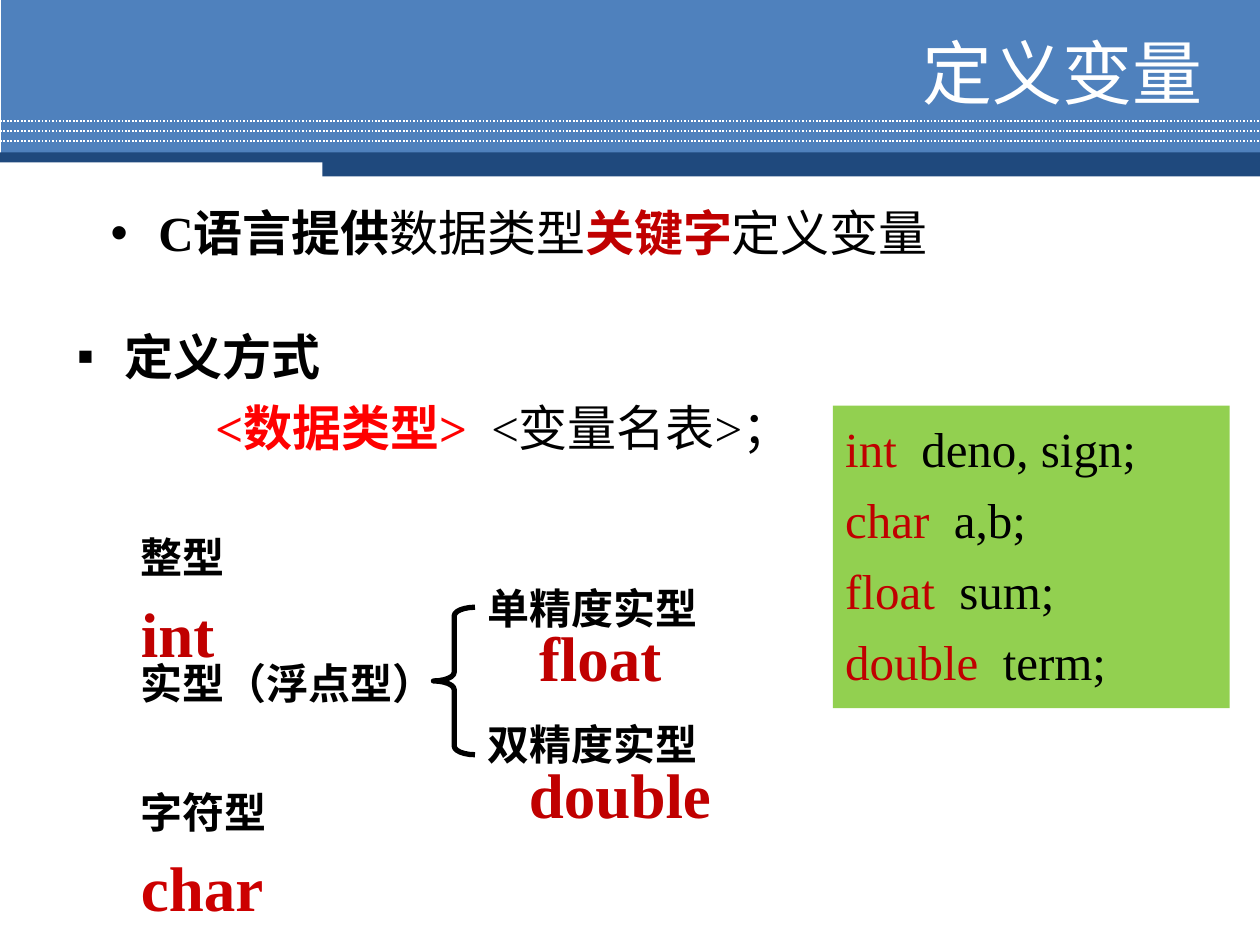
from lxml import etree
from pptx import Presentation
from pptx.dml.color import RGBColor
from pptx.enum.dml import MSO_LINE
from pptx.enum.shapes import MSO_CONNECTOR, MSO_SHAPE
from pptx.enum.text import MSO_ANCHOR, MSO_AUTO_SIZE, PP_ALIGN
from pptx.oxml.ns import qn
from pptx.util import Inches, Pt

RECT, BRACE = MSO_SHAPE.RECTANGLE, MSO_SHAPE.LEFT_BRACE
STRAIGHT, DOTTED = MSO_CONNECTOR.STRAIGHT, MSO_LINE.ROUND_DOT
TOP, MIDDLE, BOTTOM = MSO_ANCHOR.TOP, MSO_ANCHOR.MIDDLE, MSO_ANCHOR.BOTTOM
LEFT, RIGHT = PP_ALIGN.LEFT, PP_ALIGN.RIGHT
NO_FIT = MSO_AUTO_SIZE.NONE

W, H = 10, 7.5
SERIF, SANS, CJK = "Times New Roman", "Arial", "Noto Sans CJK SC"
BLACK, WHITE, BLUE, NAVY = "000000", "FFFFFF", "4F81BD", "1F497D"
CRIMSON, RED, GREEN = "C00000", "FF0000", "92D050"
COL_TYPE, COL_REAL = 1.02, 3.77


def color(fmt, value):
    fmt.rgb = RGBColor.from_string(value)


def place(sp, x, y, w, h):
    sp.left, sp.top, sp.width, sp.height = (Inches(v) for v in (x, y, w, h))


def add_run(p, text, size, c=BLACK, bold=False, font=SERIF):
    r = p.add_run()
    r.text = text
    r.font.size, r.font.bold, r.font.name = Pt(size), bold, font
    color(r.font.color, c)


def add_para(tf, runs, before=0, margin=0, bullet=None, spacing=1, align=LEFT):
    p = tf.paragraphs[0] if not tf.paragraphs[0].runs else tf.add_paragraph()
    p.alignment, p.space_before, p.line_spacing = align, Pt(before), spacing
    pPr = p._p.get_or_add_pPr()
    pPr.set("marL", str(Inches(margin)))
    pPr.set("indent", str(Inches(-0.38 if bullet else 0)))
    if bullet:
        etree.SubElement(pPr, qn("a:buFont")).set("typeface", SANS)
        etree.SubElement(pPr, qn("a:buChar")).set("char", bullet)
    else:
        etree.SubElement(pPr, qn("a:buNone"))
    for run in runs:
        add_run(p, *run)


def frame(sp, anchor=TOP):
    tf = sp.text_frame
    tf.word_wrap, tf.auto_size, tf.vertical_anchor = True, NO_FIT, anchor
    return tf


def add_box(s, x, y, w, h):
    return frame(s.shapes.add_textbox(*(Inches(v) for v in (x, y, w, h))))


def add_rect(s, x, y, w, h, fill):
    sp = s.shapes.add_shape(RECT, *(Inches(v) for v in (x, y, w, h)))
    sp.shadow.inherit = False
    sp.fill.solid()
    color(sp.fill.fore_color, fill)
    sp.line.fill.background()
    return sp


def add_dotted_line(s, y):
    ln = s.shapes.add_connector(STRAIGHT, 0, Inches(y), Inches(W), Inches(y))
    ln.line.width, ln.line.dash_style = Pt(1), DOTTED
    color(ln.line.color, WHITE)
    etree.SubElement(ln._element.spPr, qn("a:effectLst"))


def add_banner(s):
    add_rect(s, 0.01, 0, W - 0.01, 1.23, BLUE)
    for i in range(3):
        add_dotted_line(s, 0.96 + 0.08 * i)
    add_rect(s, 0, 1.21, W, 0.08, NAVY)
    add_rect(s, 2.56, 1.24, W - 2.56, 0.16, NAVY)


def add_title(s):
    sp = s.shapes.title
    place(sp, 2.72, 0.28, 6.92, 0.58)
    add_para(frame(sp, MIDDLE), [("定义变量", 40, WHITE, False, SANS)], align=RIGHT)
    return sp


def add_definition(s):
    sp = s.placeholders[1]
    place(sp, 0.51, 1.47, 9, 2.2)
    tf = frame(sp, BOTTOM)
    add_para(tf, [("定义方式", 28, BLACK, True)], margin=0.38, bullet="▪")
    add_para(tf, [("<数据类型>", 28, RED, True), ("  <变量名表>；", 28)],
             before=7, margin=1.1)
    return sp


def add_keyword_line(s):
    tf = add_box(s, 0.28, 1.56, 9.53, 0.7)
    add_para(tf, [("C语言提供", 28, BLACK, True),
                  ("数据类型", 28, BLACK, False, CJK),
                  ("关键字", 28, CRIMSON, True),
                  ("定义变量", 28, BLACK, False, CJK)], margin=0.88, bullet="•")


def add_code(s, declarations):
    tf = frame(add_rect(s, 6.61, 3.22, 3.15, 2.4, GREEN))
    tf.margin_top = Inches(0.1)
    for i, (keyword, names) in enumerate(declarations):
        add_para(tf, [(keyword + "  ", 28, CRIMSON), (names, 28)],
                 before=7 if i else 0)


def add_type(s, x, y, w, h, name, keyword=None, c=CRIMSON, before=7, margin=0,
             spacing=(1, 1)):
    tf = add_box(s, x, y, w, h)
    add_para(tf, [(name, 24, BLACK, True)], spacing=spacing[0])
    if keyword:
        add_para(tf, [(keyword, 36, c, True)], before, margin, spacing=spacing[1])


def add_brace(s):
    sp = s.shapes.add_shape(BRACE, *(Inches(v) for v in (3.44, 4.82, 0.33, 1.17)))
    sp.shadow.inherit = False
    sp.adjustments[0] = 0.21
    sp.fill.background()
    sp.line.width = Pt(3)
    color(sp.line.color, BLACK)


def main():
    prs = Presentation()
    prs.slide_width, prs.slide_height = Inches(W), Inches(H)
    s = prs.slides.add_slide(prs.slide_layouts[1])
    add_banner(s)
    for sp in (add_title(s), add_definition(s)):
        s.shapes._spTree.append(sp._element)
    add_code(s, [("int", "deno, sign;"), ("char", "a,b;"),
                 ("float", "sum;"), ("double", "term;")])
    add_type(s, COL_TYPE, 4.17, 1.83, 1.1, "整型", "int")
    add_type(s, COL_TYPE, 5.17, 2.7, 0.5, "实型（浮点型）")
    for y, name, keyword, margin in ((4.62, "单精度实型", "float", 0.41),
                                     (5.7, "双精度实型", "double", 0.33)):
        add_type(s, COL_REAL, y, 2.1, 0.94, name, keyword, before=0,
                 margin=margin, spacing=(0.9, 0.8))
    add_brace(s)
    add_keyword_line(s)
    add_type(s, COL_TYPE, 6.19, 2.35, 1.1, "字符型", "char", c="CC0000")
    prs.save("out.pptx")


if __name__ == "__main__":
    main()
